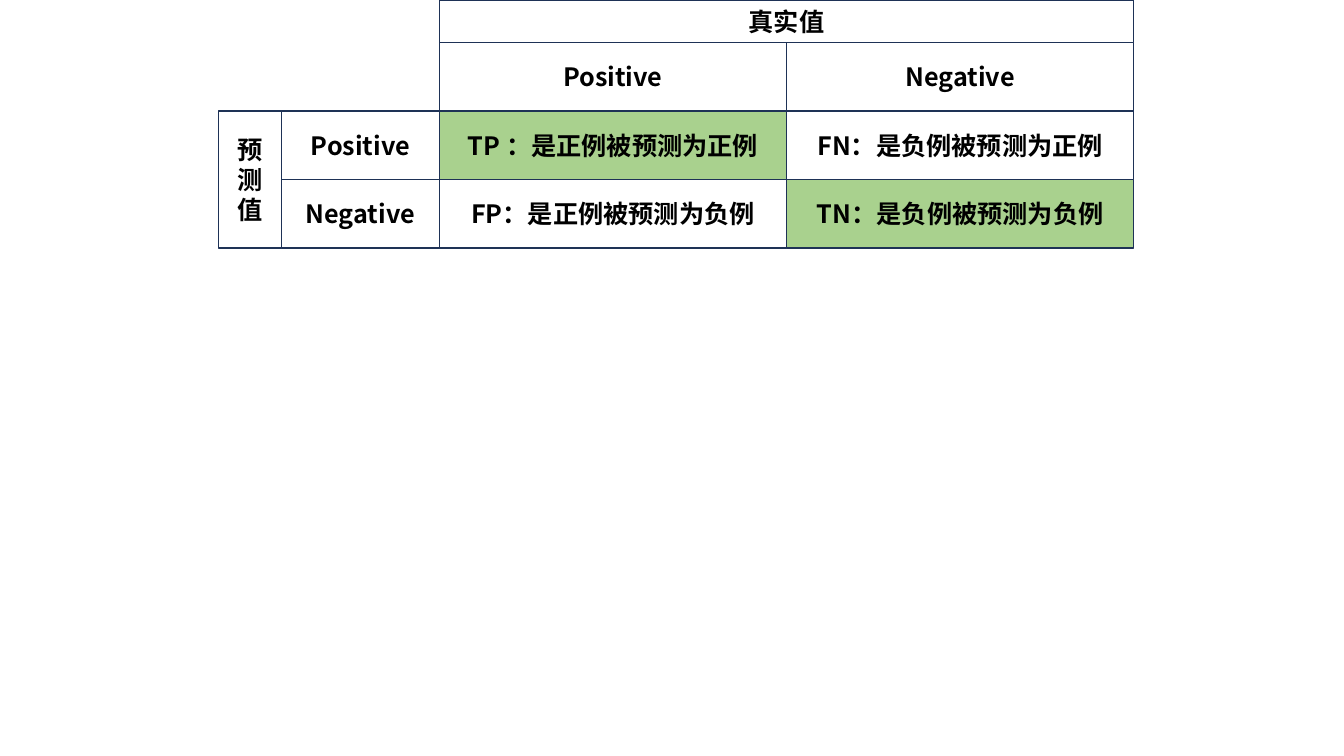
"""Build a slide with a confusion matrix of predicted and true values."""
from dataclasses import dataclass

from lxml import etree
from pptx import Presentation
from pptx import util as u
from pptx.dml import color
from pptx.enum import shapes, text
from pptx.oxml import ns
from pptx.slide import Slide
from pptx.text.text import _Run as Span

COLORS = {"plain": "FFFFFF", "correct": "A9D18E", "border": "1E3256", "text": "000000"}
FONT = "Noto Sans CJK SC"
FONT_FORMAT = {"size": u.Pt(18), "bold": True, "name": FONT}
COLUMN_EDGES = (156.2, 201.2, 313.8, 561.8, 809.8)
HEADER_HEIGHT, ROW_HEIGHT = 30.2, 49
ROW_EDGES = (0, *(HEADER_HEIGHT + ROW_HEIGHT * step for step in range(4)))


@dataclass(frozen=True)
class Cell:
    """A matrix cell, placed by grid row and column."""

    label: str
    row: int
    column: int
    row_span: int = 1
    column_span: int = 1
    fill: str = "plain"


CELLS = (
    Cell("真实值", 0, 2, column_span=2),
    Cell("TP ：是正例被预测为正例", 2, 2, fill="correct"),
    Cell("FN：是负例被预测为正例", 2, 3),
    Cell("FP：是正例被预测为负例", 3, 2),
    Cell("TN：是负例被预测为负例", 3, 3, fill="correct"),
    Cell("Negative", 3, 1),
    Cell("Positive", 2, 1),
    Cell("预测值", 2, 0, row_span=2),
    Cell("Positive", 1, 2),
    Cell("Negative", 1, 3),
)


def rgb(name: str) -> color.RGBColor:
    """Return the named colour."""
    return color.RGBColor.from_string(COLORS[name])


def format_span(span: Span) -> None:
    """Apply the matrix font to Latin and East Asian characters."""
    span.font.color.rgb = rgb("text")
    for name, value in FONT_FORMAT.items():
        setattr(span.font, name, value)
    etree.SubElement(span._r.get_or_add_rPr(), ns.qn("a:ea"), typeface=FONT)


def draw_cell(page: Slide, cell: Cell) -> None:
    """Draw one bordered cell with its centred label."""
    left, top = COLUMN_EDGES[cell.column], ROW_EDGES[cell.row]
    width = COLUMN_EDGES[cell.column + cell.column_span] - left
    height = ROW_EDGES[cell.row + cell.row_span] - top
    box = page.shapes.add_shape(
        shapes.MSO_SHAPE.RECTANGLE, *map(u.Pt, (left, top, width, height))
    )
    box.shadow.inherit = False
    box.fill.solid()
    box.fill.fore_color.rgb = rgb(cell.fill)
    box.line.color.rgb = rgb("border")
    box.line.width = u.Pt(1)
    frame = box.text_frame
    frame.word_wrap = True
    frame.vertical_anchor = text.MSO_ANCHOR.MIDDLE
    para = frame.paragraphs[0]
    para.alignment = text.PP_ALIGN.CENTER
    span = para.add_run()
    span.text = cell.label
    format_span(span)


def main() -> None:
    """Create the deck and save it."""
    deck = Presentation()
    deck.slide_width, deck.slide_height = u.Pt(960), u.Pt(540)
    page = deck.slides.add_slide(deck.slide_layouts.get_by_name("Blank"))
    for cell in CELLS:
        draw_cell(page, cell)
    deck.save("out.pptx")


if __name__ == "__main__":
    main()
